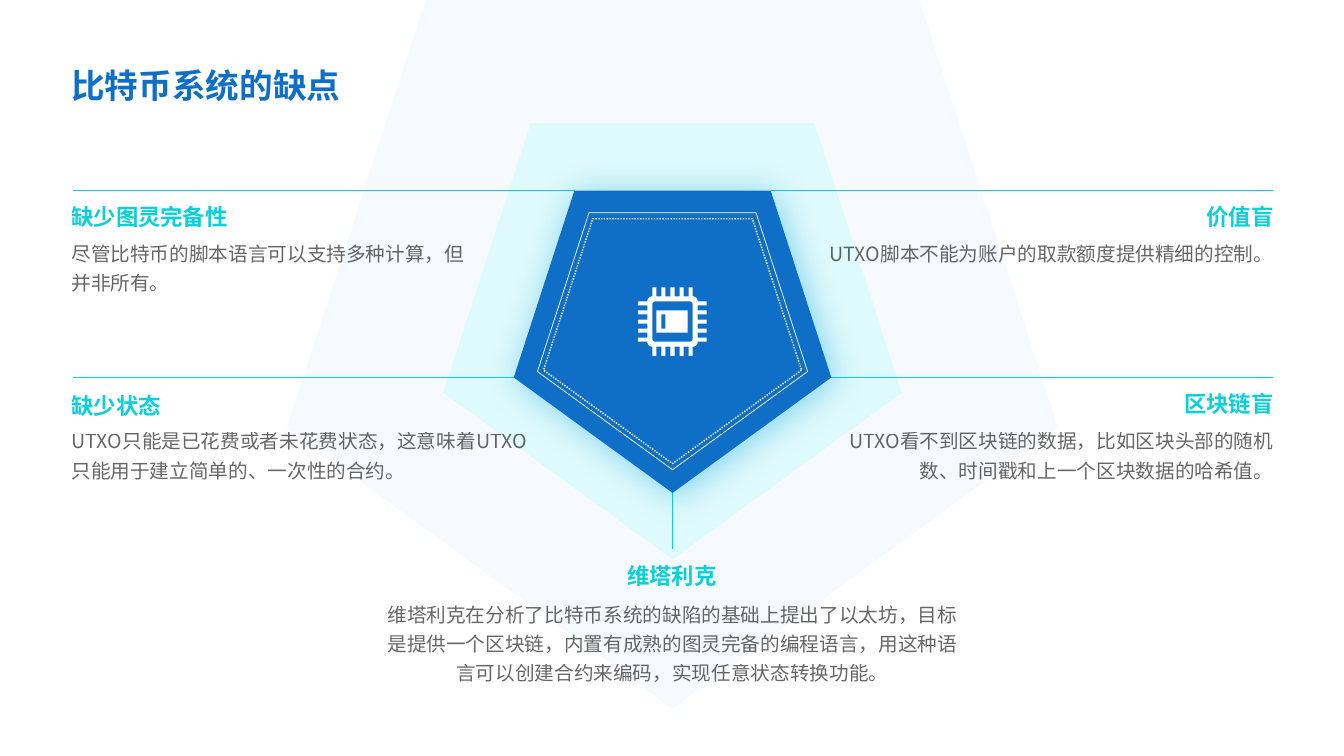
from math import cos, pi, sin

from lxml.etree import SubElement
from pptx import Presentation
from pptx.dml.color import RGBColor
from pptx.enum.dml import MSO_LINE
from pptx.enum.shapes import MSO_CONNECTOR, MSO_SHAPE
from pptx.enum.text import MSO_AUTO_SIZE, PP_ALIGN
from pptx.oxml.ns import qn
from pptx.util import Inches, Pt

FONT = "Noto Sans CJK SC"
BLUE = RGBColor(0x0F, 0x6F, 0xC6)
TEAL = RGBColor(0x0B, 0xD0, 0xD9)
PALE_BLUE = RGBColor(0xC8, 0xE3, 0xFB)
PALE_TEAL = RGBColor(0xC9, 0xFA, 0xFC)
BLACK = RGBColor(0, 0, 0)
WHITE = RGBColor(255, 255, 255)
LEFT, CENTER, RIGHT = PP_ALIGN.LEFT, PP_ALIGN.CENTER, PP_ALIGN.RIGHT

CENTER_X = 6.67
CHIP_Y = 3.19

HEADINGS = [
    ("缺少图灵完备性", 0.61, 1.97, 1.76, LEFT),
    ("缺少状态", 0.61, 3.84, 1.09, LEFT),
    ("维塔利克", 6.12, 5.53, 1.09, CENTER),
    ("价值盲", 11.86, 1.97, 0.87, RIGHT),
    ("区块链盲", 11.64, 3.82, 1.09, RIGHT),
]
DETAILS = [
    ("UTXO脚本不能为账户的取款额度提供精细的控制。", 7.49, 2.29, 5.24, 0.39, RIGHT),
    ("尽管比特币的脚本语言可以支持多种计算，但并非所有。", 0.61, 2.29, 4.27, 0.69, LEFT),
    ("UTXO只能是已花费或者未花费状态，这意味着UTXO只能用于建立简单的、一次性的合约。",
     0.61, 4.15, 4.9, 0.69, LEFT),
    ("UTXO看不到区块链的数据，比如区块头部的随机数、时间戳和上一个区块数据的哈希值。",
     8.21, 4.15, 4.52, 0.69, RIGHT),
    ("维塔利克在分析了比特币系统的缺陷的基础上提出了以太坊，目标是提供一个区块链，"
     "内置有成熟的图灵完备的编程语言，用这种语言可以创建合约来编码，实现任意状态转换功能。",
     3.7, 5.87, 5.94, 0.98, CENTER),
]
RULES = [
    (0.72, 1.89, 5.7, 1.89),
    (7.65, 1.89, 12.63, 1.89),
    (0.72, 3.74, 5.22, 3.74),
    (8.11, 3.74, 12.63, 3.74),
    (CENTER_X, 4.72, CENTER_X, 5.45),
]


def fade(element, percent):
    """Set the opacity of the first colour inside an element."""
    color = next(element.iter(qn("a:srgbClr")))
    SubElement(color, qn("a:alpha"), val=str(percent * 1000))


def add_text(page, text, left, top, width, height, size, color, align=LEFT,
             bold=False, wrap=False, spacing=None, opacity=None):
    """Add a one-paragraph text box."""
    box = page.shapes.add_textbox(Inches(left), Inches(top), Inches(width), Inches(height))
    frame = box.text_frame
    frame.word_wrap = wrap
    frame.auto_size = MSO_AUTO_SIZE.SHAPE_TO_FIT_TEXT
    para = frame.paragraphs[0]
    para.text = text
    para.alignment = align
    para.line_spacing = spacing
    para.font.size = Pt(size)
    para.font.bold = bold
    para.font.color.rgb = color
    para.font.name = FONT
    properties = para._p.pPr.find(qn("a:defRPr"))
    SubElement(properties, qn("a:ea"), typeface=FONT)
    if opacity:
        fade(properties, opacity)


def add_pentagon(shapes, top, width, height, fill=None, opacity=None, line=None, dash=None):
    """Add a point-down pentagon centred on the slide's axis."""
    pentagon = shapes.add_shape(MSO_SHAPE.REGULAR_PENTAGON, Inches(CENTER_X - width / 2),
                                Inches(top), Inches(width), Inches(height))
    pentagon.rotation = 180
    pentagon.shadow.inherit = False
    if fill is None:
        pentagon.fill.background()
    else:
        pentagon.fill.solid()
        pentagon.fill.fore_color.rgb = fill
    if opacity:
        fade(pentagon._element.spPr, opacity)
    if line is None:
        pentagon.line.fill.background()
    else:
        pentagon.line.color.rgb = WHITE
        pentagon.line.width = Pt(line)
        pentagon.line.dash_style = dash
    return pentagon


def add_glow(shape):
    """Give a shape a soft blue outer shadow."""
    effects = shape._element.spPr.find(qn("a:effectLst"))
    shadow = SubElement(effects, qn("a:outerShdw"), blurRad=str(Pt(24)), dist=str(Pt(3)),
                        dir=str(45 * 60000), algn="ctr", rotWithShape="0")
    SubElement(shadow, qn("a:srgbClr"), val="009DD9")
    fade(shadow, 41)


def add_rule(page, x1, y1, x2, y2):
    """Add a thin teal line."""
    rule = page.shapes.add_connector(MSO_CONNECTOR.STRAIGHT, Inches(x1), Inches(y1),
                                     Inches(x2), Inches(y2))
    rule.line.color.rgb = TEAL
    rule.line.width = Pt(0.5)
    SubElement(rule._element.spPr, qn("a:effectLst"))


def rectangle(left, top, right, bottom):
    """Return the corners of a rectangle."""
    return [(left, top), (right, top), (right, bottom), (left, bottom)]


def rounded_square(half, radius, legs=()):
    """Return the outline of a rounded square with legs on each side."""
    side = []
    for leg in legs:
        side += [(leg - 0.02, -half), (leg - 0.02, -0.34), (leg + 0.02, -0.34), (leg + 0.02, -half)]
    bend = half - radius
    for step in range(7):
        angle = step * pi / 12
        side.append((bend + radius * sin(angle), -bend - radius * cos(angle)))
    outline = []
    for _ in range(4):
        outline += side
        side = [(-y, x) for x, y in side]
    return outline


def add_chip(shapes):
    """Draw the processor icon as one freeform."""
    legs = [0.09 * index for index in range(-2, 3)]
    contours = [
        rounded_square(0.25, 0.05, legs),
        rounded_square(0.2, 0.03),
        rectangle(-0.16, -0.11, 0.15, 0.11),
        rectangle(-0.11, -0.07, -0.07, 0.07),
    ]
    builder = None
    for contour in contours:
        points = [(Inches(CENTER_X + x), Inches(CHIP_Y + y)) for x, y in contour]
        if builder is None:
            builder = shapes.build_freeform(*points[0])
        else:
            builder.move_to(*points[0])
        builder.add_line_segments(points[1:], close=True)
    chip = builder.convert_to_shape()
    chip.shadow.inherit = False
    chip.fill.solid()
    chip.fill.fore_color.rgb = WHITE
    chip.line.fill.background()


def main():
    """Build and save the slide."""
    deck = Presentation()
    deck.slide_width, deck.slide_height = Inches(13.33), Inches(7.5)
    page = deck.slides.add_slide(deck.slide_layouts[6])
    add_pentagon(page.shapes, -0.26, 7.65, 7.29, PALE_BLUE, 16)
    add_pentagon(page.shapes, 1.22, 4.55, 4.33, PALE_TEAL, 50)
    for text, left, top, width, height, align in DETAILS:
        add_text(page, text, left, top, width, height, 14, BLACK, align,
                 wrap=True, spacing=1.25, opacity=60)
    add_text(page, "比特币系统的缺点", 0.61, 0.59, 2.87, 0.5, 24, BLUE, bold=True)
    for text, left, top, width, align in HEADINGS:
        add_text(page, text, left, top, width, 0.37, 16, TEAL, align, bold=True)
    for ends in RULES:
        add_rule(page, *ends)
    badge = page.shapes.add_group_shape()
    add_glow(add_pentagon(badge.shapes, 1.89, 3.15, 3, BLUE))
    add_chip(badge.shapes)
    add_pentagon(badge.shapes, 2.17, 2.56, 2.43, line=1, dash=MSO_LINE.ROUND_DOT)
    add_pentagon(badge.shapes, 2.11, 2.68, 2.55, line=0.5)
    deck.save("out.pptx")


if __name__ == "__main__":
    main()
